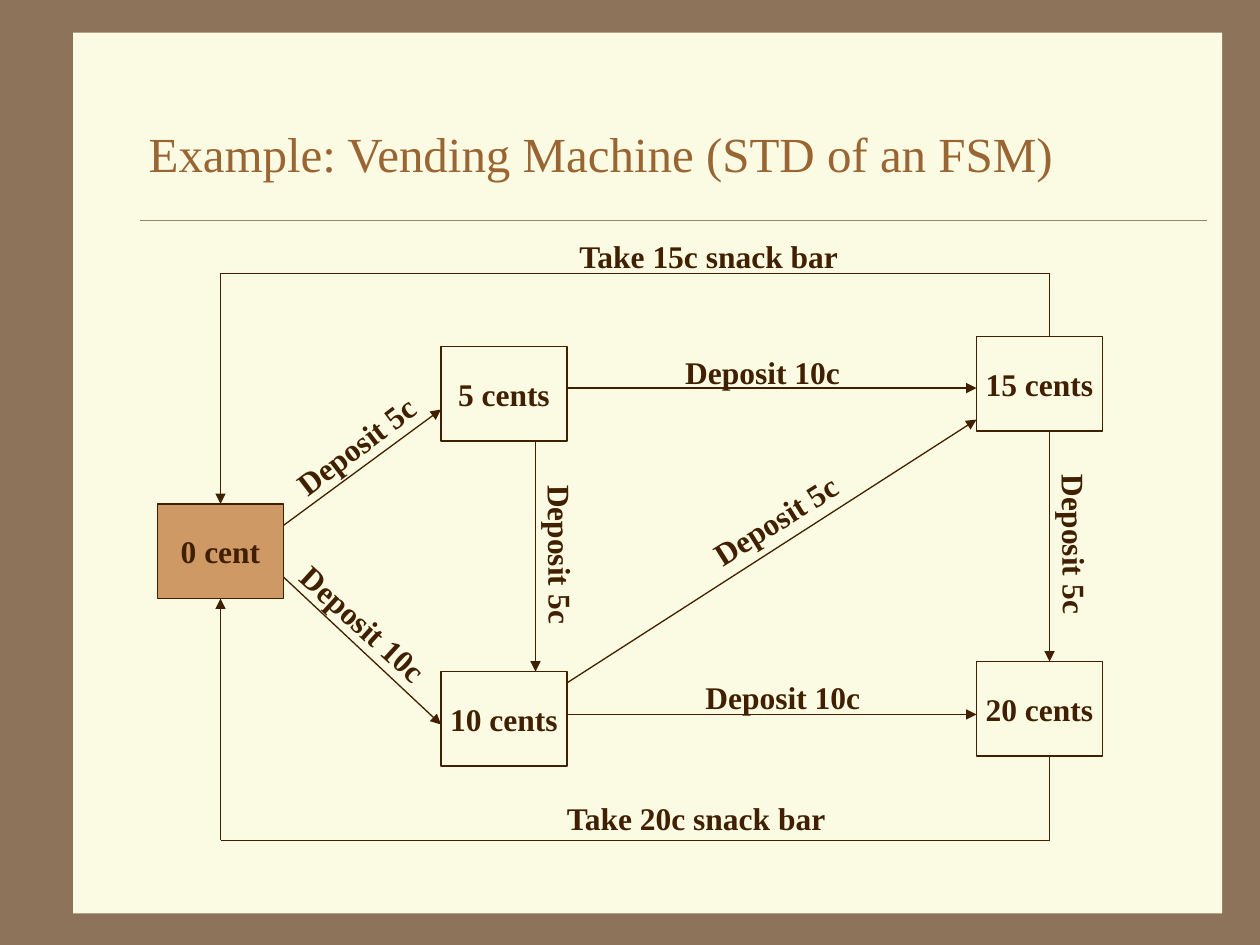
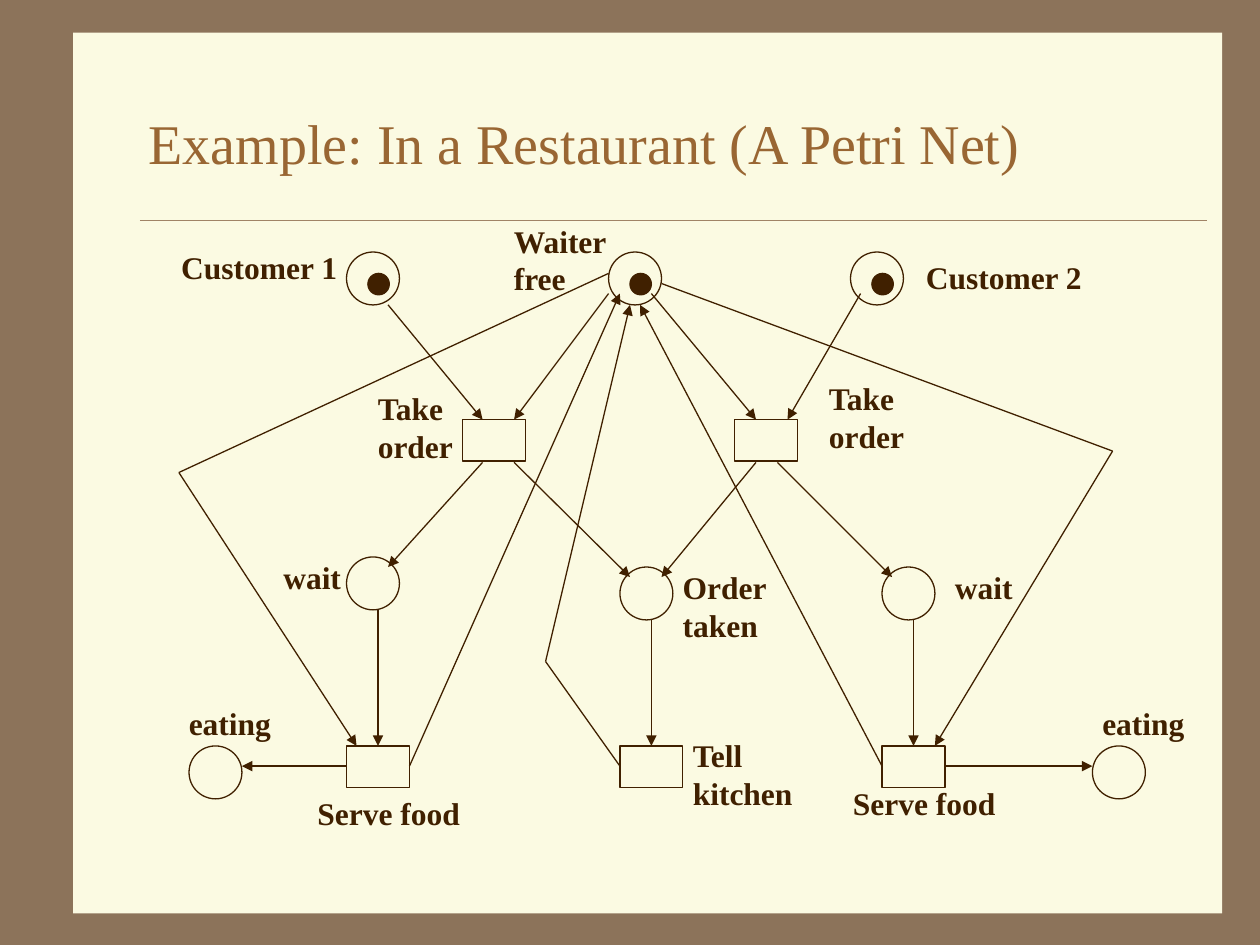
from dataclasses import dataclass

from lxml.etree import SubElement
from pptx import Presentation
from pptx.dml.color import RGBColor
from pptx.enum.shapes import MSO_CONNECTOR, MSO_SHAPE
from pptx.enum.text import MSO_ANCHOR, MSO_AUTO_SIZE, PP_ALIGN
from pptx.oxml.ns import qn
from pptx.util import Inches, Pt

COLORS = {
    "frame": "8C735A",
    "paper": "FBFAE2",
    "rule": "A08366",
    "title": "996633",
    "ink": "402000",
    "start": "CE9964",
}
FONT = "Times New Roman"
STATE_SIZE = (1, 0.75)
PLACE_SIZE = (0.42, 0.42)
TRANSITION_SIZE = (0.5, 0.33)
TOKEN_SIZE = (0.17, 0.17)
TOKEN_OFFSET = 0.17
LINE_HEIGHT = 0.3
LABEL_MARGIN = 0.1

Point = tuple[float, float]


@dataclass(frozen=True)
class Title:
    text: str
    top: float
    height: float
    size: int


@dataclass(frozen=True)
class State:
    text: str
    left: float
    top: float
    fill: str = "paper"


@dataclass(frozen=True)
class Label:
    text: str
    left: float
    top: float
    width: float
    rotation: float = 0


@dataclass(frozen=True)
class Arc:
    points: tuple[Point, ...]


FSM_TITLE = Title("Example: Vending Machine (STD of an FSM)", 0.75, 0.92, 28)
STATES = (
    State("0 cent", 1.25, 4, "start"),
    State("5 cents", 3.5, 2.75),
    State("10 cents", 3.5, 5.33),
    State("15 cents", 7.75, 2.67),
    State("20 cents", 7.75, 5.25),
)
FSM_ARCS = (
    Arc(((2.25, 4.17), (3.5, 3.25))),
    Arc(((2.25, 4.58), (3.5, 5.75))),
    Arc(((4.5, 3.08), (7.75, 3.08))),
    Arc(((4.5, 5.67), (7.75, 5.67))),
    Arc(((4.25, 3.5), (4.25, 5.33))),
    Arc(((4.5, 5.42), (7.75, 3.33))),
    Arc(((8.33, 3.42), (8.33, 5.25))),
    Arc(((8.33, 6), (8.33, 6.67), (1.75, 6.67), (1.75, 4.75))),
    Arc(((8.33, 2.67), (8.33, 2.17), (1.75, 2.17), (1.75, 4))),
)
FSM_LABELS = (
    Label("Deposit 5c", 2.17, 3.33, 1.32, 322.8),
    Label("Deposit 10c", 2.17, 4.75, 1.43, 42.2),
    Label("Deposit 10c", 5.34, 2.75, 1.43),
    Label("Deposit 10c", 5.5, 5.33, 1.43),
    Label("Deposit 5c", 3.79, 4.21, 1.32, 89.5),
    Label("Deposit 5c", 5.5, 3.92, 1.32, 327.9),
    Label("Deposit 5c", 7.87, 4.13, 1.32, 89.4),
    Label("Take 20c snack bar", 4.4, 6.29, 2.27),
    Label("Take 15c snack bar", 4.5, 1.83, 2.27),
)

PETRI_TITLE = Title("Example: In a Restaurant (A Petri Net)", 0.5, 1.25, 32)
MARKED_PLACES = ((2.75, 2), (4.83, 2), (6.75, 2))
EMPTY_PLACES = ((2.75, 4.42), (4.92, 4.5), (7, 4.5), (1.5, 5.92), (8.67, 5.92))
TRANSITIONS = ((3.67, 3.33), (5.83, 3.33), (2.75, 5.92), (4.92, 5.92), (7, 5.92))
PETRI_ARCS = (
    Arc(((3.08, 2.42), (3.83, 3.33))),
    Arc(((4.83, 2.33), (4.08, 3.33))),
    Arc(((5.17, 2.33), (6, 3.33))),
    Arc(((6.83, 2.33), (6.25, 3.33))),
    Arc(((3.83, 3.67), (3.08, 4.5))),
    Arc(((4.08, 3.67), (5, 4.58))),
    Arc(((6, 3.67), (5.25, 4.58))),
    Arc(((6.17, 3.67), (7.08, 4.58))),
    Arc(((3, 4.83), (3, 5.92))),
    Arc(((5.17, 4.92), (5.17, 5.92))),
    Arc(((7.25, 4.92), (7.25, 5.92))),
    Arc(((2.75, 6.08), (1.92, 6.08))),
    Arc(((7.5, 6.08), (8.67, 6.08))),
    Arc(((3.25, 6.08), (4.92, 2.33))),
    Arc(((7, 6.08), (5.08, 2.42))),
    Arc(((4.92, 6.08), (4.33, 5.25), (5, 2.42))),
    Arc(((4.83, 2.17), (1.42, 3.75), (2.83, 5.92))),
    Arc(((5.25, 2.25), (8.83, 3.58), (7.42, 5.92))),
)
PETRI_LABELS = (
    Label("Waiter\nfree", 3.98, 1.71, 0.97),
    Label("Customer 1", 1.34, 1.92, 1.46),
    Label("Customer 2", 7.25, 2, 1.46),
    Label("Take\norder", 2.9, 3.04, 0.82),
    Label("Take\norder", 6.48, 2.96, 0.82),
    Label("Order\ntaken", 5.32, 4.46, 0.89),
    Label("Tell\nkitchen", 5.4, 5.79, 1.01),
    Label("wait", 2.15, 4.38, 0.68),
    Label("wait", 7.48, 4.46, 0.68),
    Label("Serve food", 2.42, 6.25, 1.35),
    Label("Serve food", 6.67, 6.17, 1.35),
    Label("eating", 1.4, 5.54, 0.87),
    Label("eating", 8.65, 5.54, 0.87),
)


def color(key: str) -> RGBColor:
    return RGBColor.from_string(COLORS[key])


def format_text(frame, size: int, ink: str, bold: bool, align=PP_ALIGN.LEFT) -> None:
    for paragraph in frame.paragraphs:
        paragraph.alignment = align
        for run in paragraph.runs:
            run.font.name = FONT
            run.font.size = Pt(size)
            run.font.bold = bold
            run.font.color.rgb = color(ink)


def draw_node(slide, kind, corner: Point, size: Point, fill: str = "", outline: str = "ink"):
    node = slide.shapes.add_shape(kind, *map(Inches, corner + size))
    node.shadow.inherit = False
    if fill:
        node.fill.solid()
        node.fill.fore_color.rgb = color(fill)
    else:
        node.fill.background()
    if outline:
        node.line.color.rgb = color(outline)
        node.line.width = Pt(0.75)
    else:
        node.line.fill.background()
    return node


def draw_line(slide, start: Point, end: Point, ink: str = "ink",
              width: float = 0.75, arrow: bool = False):
    line = slide.shapes.add_connector(MSO_CONNECTOR.STRAIGHT, *map(Inches, start + end))
    line.line.color.rgb = color(ink)
    line.line.width = Pt(width)
    properties = line._element.spPr
    if arrow:
        SubElement(properties.find(qn("a:ln")), qn("a:tailEnd"), type="triangle")
    SubElement(properties, qn("a:effectLst"))
    return line


def draw_arc(slide, arc: Arc) -> None:
    last = len(arc.points) - 2
    for index, (start, end) in enumerate(zip(arc.points, arc.points[1:])):
        draw_line(slide, start, end, arrow=index == last)


def draw_state(slide, state: State) -> None:
    node = draw_node(slide, MSO_SHAPE.RECTANGLE, (state.left, state.top), STATE_SIZE, state.fill)
    frame = node.text_frame
    frame.word_wrap = False
    frame.vertical_anchor = MSO_ANCHOR.MIDDLE
    frame.text = state.text
    format_text(frame, 18, "ink", True, PP_ALIGN.CENTER)


def draw_label(slide, label: Label) -> None:
    height = LABEL_MARGIN + LINE_HEIGHT * len(label.text.split("\n"))
    box = slide.shapes.add_textbox(*map(Inches, (label.left, label.top, label.width, height)))
    box.rotation = label.rotation
    frame = box.text_frame
    frame.word_wrap = False
    frame.auto_size = MSO_AUTO_SIZE.SHAPE_TO_FIT_TEXT
    frame.text = label.text
    format_text(frame, 18, "ink", True)
    for paragraph in frame.paragraphs:
        paragraph.line_spacing = Inches(LINE_HEIGHT)


def add_titled_slide(deck, title: Title):
    slide = deck.slides.add_slide(deck.slide_layouts.get_by_name("Title Only"))
    heading = slide.shapes.title
    heading.left, heading.top = Inches(1.08), Inches(title.top)
    heading.width, heading.height = Inches(8.5), Inches(title.height)
    frame = heading.text_frame
    frame.text = title.text
    frame.auto_size = MSO_AUTO_SIZE.NONE
    frame.vertical_anchor = MSO_ANCHOR.MIDDLE
    format_text(frame, title.size, "title", False)
    return slide


def dress_master(deck, slide) -> None:
    master = deck.slide_master
    master.background.fill.solid()
    master.background.fill.fore_color.rgb = color("frame")
    paper = draw_node(slide, MSO_SHAPE.RECTANGLE, (0.58, 0.26), (9.12, 6.99), "paper", "")
    rule = draw_line(slide, (1.11, 1.75), (9.58, 1.75), "rule", 0.25)
    for position, part in enumerate((paper, rule), start=2):
        master.shapes._spTree.insert(position, part._element)


def draw_vending_machine(slide) -> None:
    for state in STATES:
        draw_state(slide, state)
    for arc in FSM_ARCS:
        draw_arc(slide, arc)
    for label in FSM_LABELS:
        draw_label(slide, label)


def draw_restaurant(slide) -> None:
    for place in MARKED_PLACES + EMPTY_PLACES:
        draw_node(slide, MSO_SHAPE.OVAL, place, PLACE_SIZE)
    for transition in TRANSITIONS:
        draw_node(slide, MSO_SHAPE.RECTANGLE, transition, TRANSITION_SIZE)
    for arc in PETRI_ARCS:
        draw_arc(slide, arc)
    for label in PETRI_LABELS:
        draw_label(slide, label)
    for left, top in MARKED_PLACES:
        token = (left + TOKEN_OFFSET, top + TOKEN_OFFSET)
        draw_node(slide, MSO_SHAPE.OVAL, token, TOKEN_SIZE, "ink")


def main() -> None:
    deck = Presentation()
    deck.slide_width, deck.slide_height = Inches(10), Inches(7.5)
    vending_machine = add_titled_slide(deck, FSM_TITLE)
    dress_master(deck, vending_machine)
    draw_vending_machine(vending_machine)
    draw_restaurant(add_titled_slide(deck, PETRI_TITLE))
    deck.save("out.pptx")


if __name__ == "__main__":
    main()
